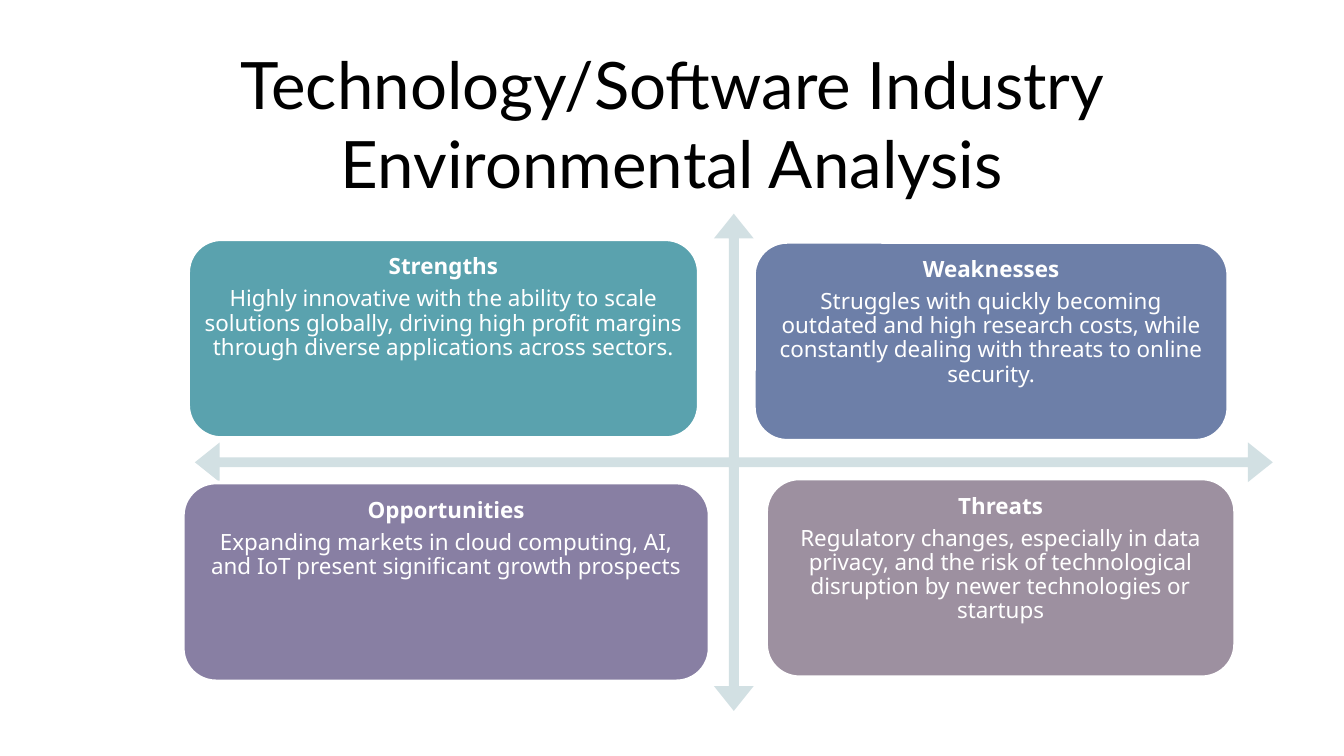
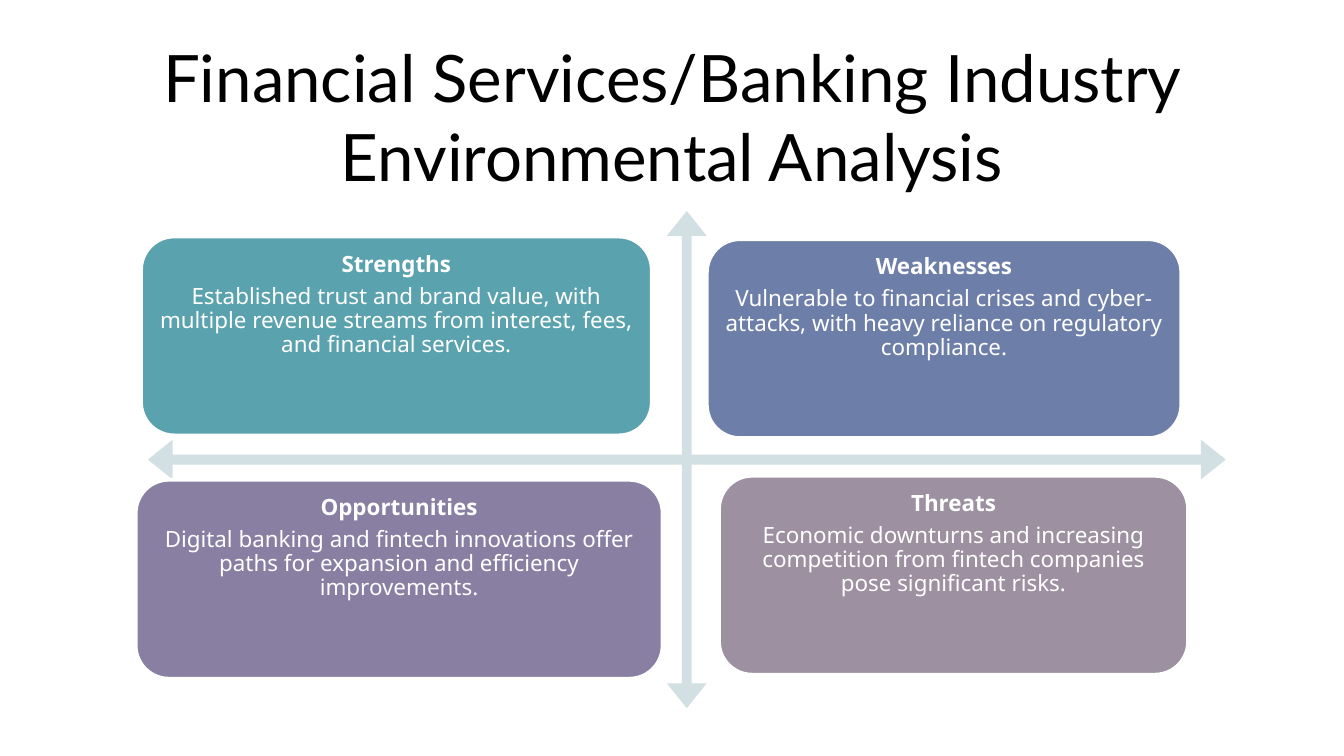
import pptx
import pptx.dml.color
import pptx.enum.shapes
import pptx.enum.text
import pptx.util

# Content: title, top of the title, left and top of the axes, four texts
ANALYSES = [
    {
        "title": "Technology/Software Industry Environmental Analysis",
        "title_top": 0.23,
        "axes_at": (1.45, 1.59),
        "texts": [
            "Highly innovative with the ability to scale solutions globally, driving "
            "high profit margins through diverse applications across sectors.",
            "Struggles with quickly becoming outdated and high research costs, while "
            "constantly dealing with threats to online security.",
            "Expanding markets in cloud computing, AI, and IoT present significant "
            "growth prospects",
            "Regulatory changes, especially in data privacy, and the risk of "
            "technological disruption by newer technologies or startups",
        ],
    },
    {
        "title": "Financial Services/Banking Industry Environmental Analysis",
        "title_top": 0.18,
        "axes_at": (1.1, 1.57),
        "texts": [
            "Established trust and brand value, with multiple revenue streams from "
            "interest, fees, and financial services.",
            "Vulnerable to financial crises and cyber-attacks, with heavy reliance on "
            "regulatory compliance.",
            "Digital banking and fintech innovations offer paths for expansion and "
            "efficiency improvements.",
            "Economic downturns and increasing competition from fintech companies pose "
            "significant risks.",
        ],
    },
]

# Quadrants: heading, offset from the axes' corner, width
QUADRANTS = [
    ("Strengths", -0.05, 0.19, 3.8),
    ("Weaknesses", 4.16, 0.21, 3.53),
    ("Opportunities", -0.09, 2.0, 3.92),
    ("Threats", 4.25, 1.97, 3.49),
]

# Shared style
COLORS = {
    "Strengths": "5AA2AE",
    "Weaknesses": "6D7FA8",
    "Opportunities": "887FA3",
    "Threats": "9D90A0",
    "axes": "D2E0E3",
    "white": "FFFFFF",
    "black": "000000",
}
SLIDE_WIDTH = 10
SLIDE_HEIGHT = SLIDE_WIDTH * 9 / 16
TITLE_WIDTH, TITLE_HEIGHT = 8.44, 0.63
AXES_WIDTH, AXES_HEIGHT = 8.02, 3.7
AXES_ADJUSTMENTS = (0.02, 0.04, 0.05)
QUADRANT_HEIGHT = 1.48
SHAPES = pptx.enum.shapes.MSO_SHAPE


def color(name):
    return pptx.dml.color.RGBColor.from_string(COLORS[name])


def inches(*lengths):
    return [pptx.util.Inches(length) for length in lengths]


def add_text(box, text, size=12, font="Noto Sans", ink="white", bold=False,
             spacing=None, after=0, inset=0.05):
    """Add one centred paragraph to a box, filling its empty first one."""
    frame = box.text_frame
    frame.word_wrap = True
    frame.vertical_anchor = pptx.enum.text.MSO_ANCHOR.TOP
    frame.margin_left = frame.margin_right = pptx.util.Inches(inset)
    frame.margin_top = frame.margin_bottom = pptx.util.Inches(inset)
    para = frame.add_paragraph() if frame.text else frame.paragraphs[0]
    para.alignment = pptx.enum.text.PP_ALIGN.CENTER
    para.line_spacing = spacing
    para.space_after = pptx.util.Pt(after)
    span = para.add_run()
    span.text = text
    span.font.size = pptx.util.Pt(size)
    span.font.name = font
    span.font.bold = bold
    span.font.color.rgb = color(ink)


def add_shape(page, kind, place, fill, line=None):
    shape = page.shapes.add_shape(kind, *inches(*place))
    shape.shadow.inherit = False
    shape.fill.solid()
    shape.fill.fore_color.rgb = color(fill)
    if line:
        shape.line.color.rgb = color(line)
        shape.line.width = pptx.util.Pt(2)
    else:
        shape.line.fill.background()
    return shape


def add_analysis(deck, analysis):
    page = deck.slides.add_slide(deck.slide_layouts[6])

    # Title
    title_left = (SLIDE_WIDTH - TITLE_WIDTH) / 2
    title = page.shapes.add_textbox(
        *inches(title_left, analysis["title_top"], TITLE_WIDTH, TITLE_HEIGHT))
    add_text(title, analysis["title"], size=35, font="Lato", ink="black", inset=0.1)

    # Crossed axes
    left, top = analysis["axes_at"]
    axes = add_shape(page, SHAPES.QUAD_ARROW,
                     (left, top, AXES_WIDTH, AXES_HEIGHT), "axes")
    for index, value in enumerate(AXES_ADJUSTMENTS):
        axes.adjustments[index] = value

    # Four quadrants
    for (heading, across, down, width), text in zip(QUADRANTS, analysis["texts"]):
        place = (left + across, top + down, width, QUADRANT_HEIGHT)
        box = add_shape(page, SHAPES.ROUNDED_RECTANGLE, place, heading, line="white")
        add_text(box, heading, bold=True, spacing=0.9, after=4.2)
        add_text(box, text, spacing=0.9, after=4.2)


def main():
    deck = pptx.Presentation()
    deck.slide_width, deck.slide_height = inches(SLIDE_WIDTH, SLIDE_HEIGHT)
    for analysis in ANALYSES:
        add_analysis(deck, analysis)
    deck.save("out.pptx")


if __name__ == "__main__":
    main()
